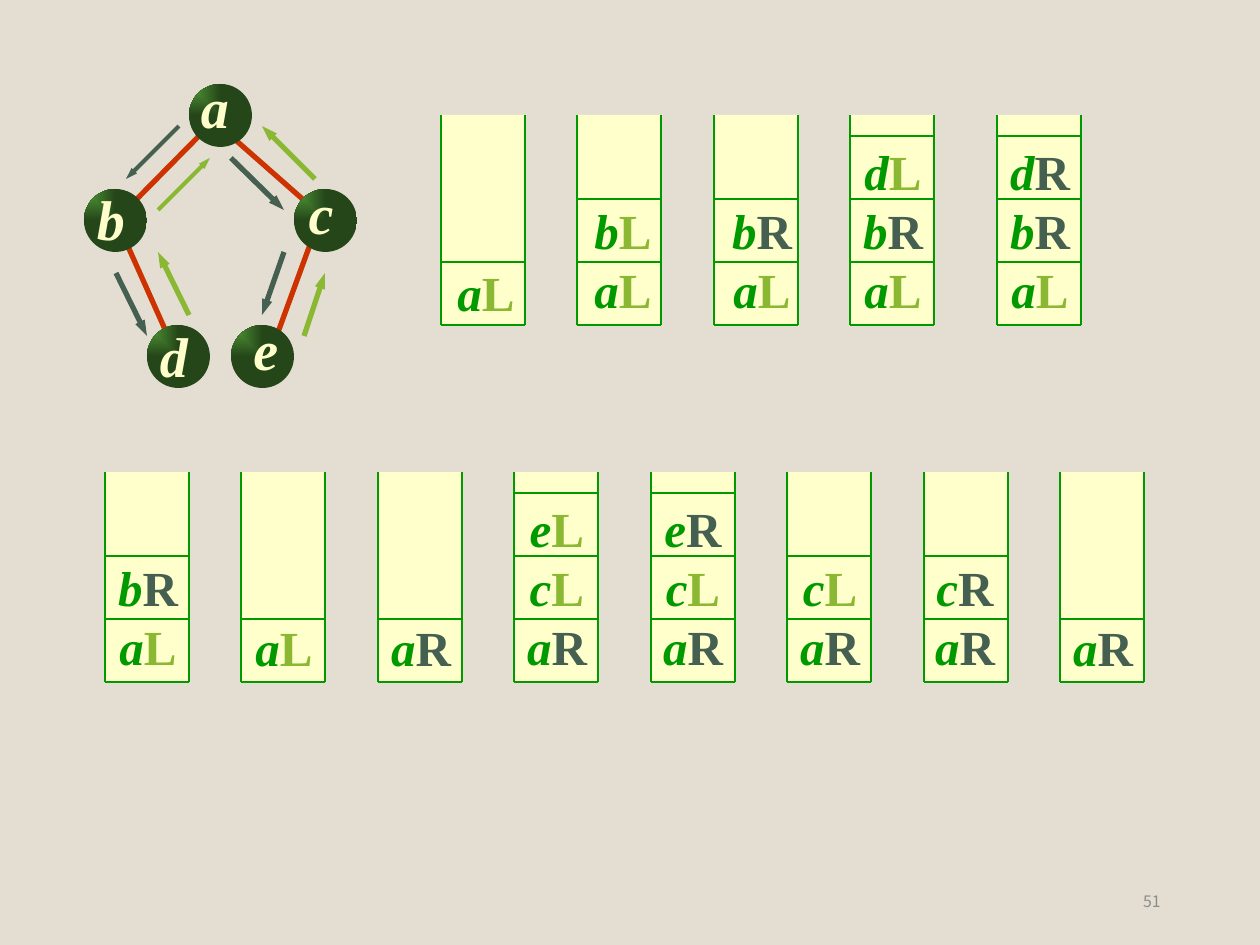
"""Build a slide tracing the stack through a binary tree traversal."""
from lxml import etree
from pptx import Presentation
from pptx.dml.color import RGBColor
from pptx.enum.shapes import MSO_CONNECTOR, MSO_SHAPE
from pptx.enum.text import MSO_ANCHOR, PP_ALIGN
from pptx.oxml.ns import qn
from pptx.util import Pt

STRAIGHT = MSO_CONNECTOR.STRAIGHT
OVAL, RECTANGLE = MSO_SHAPE.OVAL, MSO_SHAPE.RECTANGLE
MIDDLE = MSO_ANCHOR.MIDDLE
CENTER, RIGHT = PP_ALIGN.CENTER, PP_ALIGN.RIGHT

PX = 914400 / 126
SERIF, SANS = "Times New Roman", "Noto Sans CJK SC"
CREAM, GREEN, RED = "FFFFCC", "009900", "CC3300"
SIDE_COLORS = {"L": "8AB833", "R": "455F51"}
DOWN, UP = SIDE_COLORS["R"], SIDE_COLORS["L"]

NODE_SIZE = 63
NODES = [  # name, left, top, label center
    ("a", 189, 84, (215, 106)),
    ("b", 84, 189, (111, 218)),
    ("c", 294, 189, (321, 212)),
    ("d", 147, 325, (174, 355)),
    ("e", 231, 325, (266, 348)),
]
EDGES = [
    ((315, 231), (273, 346)),
    ((126, 242), (168, 336)),
    ((231, 136), (315, 210)),
    ((199, 136), (126, 210)),
]
ARROWS = [
    ((179, 126), (126, 179), DOWN, 2.25),
    ((116, 273), (147, 336), DOWN, 3),
    ((189, 315), (158, 252), UP, 3),
    ((158, 210), (210, 158), UP, 2.25),
    ((231, 158), (284, 210), DOWN, 3),
    ((284, 252), (262, 315), DOWN, 3),
    ((304, 336), (325, 273), UP, 3),
    ((315, 179), (262, 126), UP, 3),
]
STACK_WIDTH, STACK_HEIGHT, CELL = 84, 210, 63
LABEL_WIDTH = 114
STACK_ROWS = [  # top, then left, entries from top to bottom, label shift
    (115, [
        (441, ["aL"], (3, 3)),
        (577, ["bL", "aL"], (4, 0)),
        (714, ["bR", "aL"], (6, 0)),
        (850, ["dL", "bR", "aL"], (1, 0)),
        (997, ["dR", "bR", "aL"], (1, 0)),
    ]),
    (472, [
        (105, ["bR", "aL"], (1, 0)),
        (241, ["aL"], (1, 1)),
        (378, ["aR"], (1, 1)),
        (514, ["eL", "cL", "aR"], (1, 0)),
        (651, ["eR", "cL", "aR"], (0, 0)),
        (787, ["cL", "aR"], (1, 0)),
        (924, ["cR", "aR"], (-1, 0)),
        (1060, ["aR"], (1, 1)),
    ]),
]


def emu(*lengths):
    return [round(length * PX) for length in lengths]


def color(value):
    return RGBColor.from_string(value)


def add_line(page, start, end, line_color, width, arrow=False):
    line = page.shapes.add_connector(STRAIGHT, *emu(*start, *end))
    line.line.color.rgb = color(line_color)
    line.line.width = Pt(width)
    if arrow:
        outline = line.line._get_or_add_ln()
        etree.SubElement(outline, qn("a:tailEnd"), type="triangle", w="sm")
    etree.SubElement(line._element.spPr, qn("a:effectLst"))


def add_text(page, place, lines, size, font, align=CENTER, spacing=None):
    """Add a text box whose lines are lists of (text, color, italic) spans."""
    frame = page.shapes.add_textbox(*emu(*place)).text_frame
    frame.vertical_anchor = MIDDLE
    frame.word_wrap = True
    for index, spans in enumerate(lines):
        para = frame.add_paragraph() if index else frame.paragraphs[0]
        para.alignment = align
        para.line_spacing = spacing
        para.font.size = Pt(size)
        para.font.name = font
        para.font.bold = font == SERIF
        for text, text_color, italic in spans:
            span = para.add_run()
            span.text = text
            span.font.color.rgb = color(text_color)
            span.font.italic = italic


def add_node(page, left, top):
    node = page.shapes.add_shape(OVAL, *emu(left, top, NODE_SIZE, NODE_SIZE))
    node.shadow.inherit = False
    node.line.fill.background()
    node.fill.gradient()
    for stop, shade in zip(node.fill.gradient_stops, ("549E39", "254619")):
        stop.color.rgb = color(shade)
    gradient = node._element.spPr.find(qn("a:gradFill"))
    gradient.remove(gradient.find(qn("a:lin")))
    corner = etree.SubElement(gradient, qn("a:path"), path="rect")
    etree.SubElement(corner, qn("a:fillToRect"), r="100000", b="100000")


def add_stack(page, left, top, entries, shift):
    right, bottom = left + STACK_WIDTH, top + STACK_HEIGHT
    body = page.shapes.add_shape(RECTANGLE, *emu(left, top, STACK_WIDTH, STACK_HEIGHT))
    body.shadow.inherit = False
    body.fill.solid()
    body.fill.fore_color.rgb = color(CREAM)
    body.line.fill.background()
    for side in (left, right):
        add_line(page, (side, top), (side, bottom), GREEN, 1.5)
    for level in range(len(entries) + 1):
        height = bottom - level * CELL
        add_line(page, (left, height), (right, height), GREEN, 1.5)
    lines = [[(name, GREEN, True), (side, SIDE_COLORS[side], False)] for name, side in entries]
    text_height = 13 + 59 * len(entries)
    text_left = left + (STACK_WIDTH - LABEL_WIDTH) // 2 + shift[0]
    place = (text_left, bottom - text_height + shift[1], LABEL_WIDTH, text_height)
    add_text(page, place, lines, 28, SERIF, spacing=Pt(33.6))


def main():
    deck = Presentation()
    deck.slide_width, deck.slide_height = emu(1260, 945)
    page = deck.slides.add_slide(deck.slide_layouts[6])
    page.background.fill.solid()
    page.background.fill.fore_color.rgb = color("E3DED1")
    for start, end in EDGES:
        add_line(page, start, end, RED, 3)
    for name, left, top, (x, y) in NODES:
        add_node(page, left, top)
        add_text(page, (x - 30, y - 40, 60, 80), [[(name, CREAM, True)]], 32, SERIF)
    for top, stacks in STACK_ROWS:
        for left, entries, shift in stacks:
            add_stack(page, left, top, entries, shift)
    for start, end, arrow_color, width in ARROWS:
        add_line(page, start, end, arrow_color, width, arrow=True)
    add_text(page, (890, 876, 283, 50), [[("51", "8C8C8C", False)]], 9, SANS, RIGHT)
    deck.save("out.pptx")


if __name__ == "__main__":
    main()
